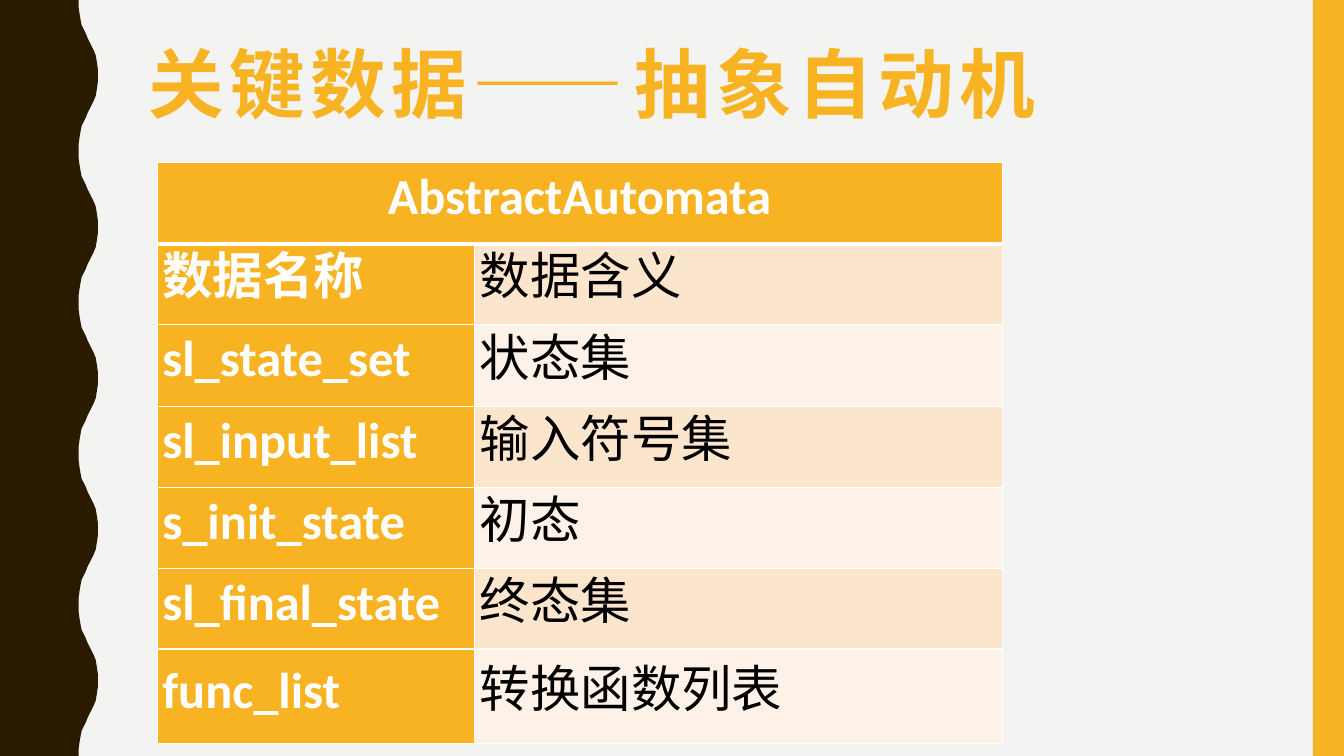
from lxml.etree import SubElement
from pptx import Presentation
from pptx.dml.color import RGBColor
from pptx.enum.shapes import MSO_SHAPE
from pptx.enum.text import MSO_ANCHOR as Anchor, PP_ALIGN as Align
from pptx.oxml.ns import qn
from pptx.util import Inches, Pt

COLORS = {
    "background": "F3F3F2",
    "brown": "2A1A00",
    "amber": "F8B323",
    "white": "FFFFFF",
    "black": "000000",
    "band_dark": "FCE5CD",
    "band_light": "FEF2E8",
}
FONT = "Calibri"
SLIDE_WIDTH, SLIDE_HEIGHT = 13.33, 7.5

WAVE_PERIOD = 1.5
# (x, y) from a trough of the wavy edge to the next crest
HALF_WAVE = [
    (0.78, 0), (0.78, 0.07), (0.79, 0.14), (0.8, 0.2), (0.81, 0.25),
    (0.83, 0.29), (0.85, 0.33), (0.87, 0.38), (0.89, 0.42), (0.91, 0.46),
    (0.93, 0.5), (0.95, 0.55), (0.96, 0.61), (0.97, 0.68), (0.97, 0.75),
]

COLUMN_WIDTHS = [3.15, 5.23]
ROW_HEIGHTS = [0.81, 0.8, 0.81, 0.81, 0.8, 0.8, 0.94]
CELL_TEXT_SIZE = 36
# A line as tall as the text keeps the glyphs clear of the cell borders
CELL_LINE_SPACING = Pt(CELL_TEXT_SIZE)
TABLE_TITLE = "AbstractAutomata"
FIELDS = [
    ("数据名称", "数据含义"),
    ("sl_state_set", "状态集"),
    ("sl_input_list", "输入符号集"),
    ("s_init_state", "初态"),
    ("sl_final_state", "终态集"),
    ("func_list", "转换函数列表"),
]


def rgb(name):
    return RGBColor.from_string(COLORS[name])


def write(frame, text, *, size, color, bold=False, align=Align.LEFT,
          line_spacing=None, tracking=None):
    """Put one formatted paragraph in the frame; tracking is in points."""
    paragraph = frame.paragraphs[0]
    paragraph.alignment = align
    paragraph.line_spacing = line_spacing
    run = paragraph.add_run()
    run.text = text
    run.font.name = FONT
    run.font.size = Pt(size)
    run.font.bold = bold
    run.font.color.rgb = rgb(color)
    if tracking:
        run.font._element.set("spc", str(tracking * 100))


def paint(shape, color):
    shape.shadow.inherit = False
    shape.fill.solid()
    shape.fill.fore_color.rgb = rgb(color)
    shape.line.fill.background()


def add_wavy_edge(slide):
    wave = HALF_WAVE + [(x, WAVE_PERIOD - y) for x, y in HALF_WAVE[-2::-1]]
    outline = [(x, y + turn * WAVE_PERIOD)
               for turn in range(int(SLIDE_HEIGHT / WAVE_PERIOD))
               for x, y in wave]
    outline.append((0, SLIDE_HEIGHT))
    builder = slide.shapes.build_freeform(0, 0, scale=1.0)
    builder.add_line_segments([(Inches(x), Inches(y)) for x, y in outline])
    paint(builder.convert_to_shape(), "brown")


def add_side_bar(slide):
    bar = slide.shapes.add_shape(MSO_SHAPE.RECTANGLE, Inches(13.02), 0,
                                 Inches(0.31), Inches(SLIDE_HEIGHT))
    paint(bar, "amber")


def add_title(slide, text):
    box = slide.shapes.add_textbox(Inches(1.37), Inches(0.42),
                                   Inches(11.13), Inches(1.63))
    box.text_frame.word_wrap = True
    write(box.text_frame, text, size=54, color="amber", bold=True,
          line_spacing=0.9, tracking=4)


def set_borders(cell, top=1, bottom=1):
    """Draw white borders; call before filling, as lines precede the fill."""
    properties = cell._tc.get_or_add_tcPr()
    for side, width in (("L", 1), ("R", 1), ("T", top), ("B", bottom)):
        line = SubElement(properties, qn(f"a:ln{side}"), w=str(Pt(width)))
        fill = SubElement(line, qn("a:solidFill"))
        SubElement(fill, qn("a:srgbClr"), val=COLORS["white"])


def format_cell(cell, fill, **borders):
    set_borders(cell, **borders)
    cell.fill.solid()
    cell.fill.fore_color.rgb = rgb(fill)
    cell.vertical_anchor = Anchor.MIDDLE
    cell.margin_left = cell.margin_right = Inches(0.05)
    cell.margin_top = cell.margin_bottom = 0


def add_field_table(slide):
    table = slide.shapes.add_table(
        len(ROW_HEIGHTS), len(COLUMN_WIDTHS), Inches(1.56), Inches(1.61),
        Inches(sum(COLUMN_WIDTHS)), Inches(sum(ROW_HEIGHTS))).table
    table.horz_banding = False
    for column, width in zip(table.columns, COLUMN_WIDTHS):
        column.width = Inches(width)
    for row, height in zip(table.rows, ROW_HEIGHTS):
        row.height = Inches(height)

    header = table.cell(0, 0)
    header.merge(table.cell(0, 1))
    for cell in table.rows[0].cells:
        format_cell(cell, "amber", bottom=3)
    write(header.text_frame, TABLE_TITLE, size=CELL_TEXT_SIZE, color="white",
          bold=True, align=Align.CENTER, line_spacing=CELL_LINE_SPACING)

    for index, (name, meaning) in enumerate(FIELDS, start=1):
        band = "band_dark" if index % 2 else "band_light"
        for column, (text, fill, color) in enumerate(
                [(name, "amber", "white"), (meaning, band, "black")]):
            cell = table.cell(index, column)
            format_cell(cell, fill, top=3 if index == 1 else 1)
            write(cell.text_frame, text, size=CELL_TEXT_SIZE, color=color,
                  bold=column == 0, align=Align.JUSTIFY,
                  line_spacing=CELL_LINE_SPACING)


def main():
    deck = Presentation()
    deck.slide_width = Inches(SLIDE_WIDTH)
    deck.slide_height = Inches(SLIDE_HEIGHT)
    slide = deck.slides.add_slide(deck.slide_layouts[6])
    slide.background.fill.solid()
    slide.background.fill.fore_color.rgb = rgb("background")
    add_wavy_edge(slide)
    add_side_bar(slide)
    add_title(slide, "关键数据——抽象自动机")
    add_field_table(slide)
    deck.save("out.pptx")


if __name__ == "__main__":
    main()
